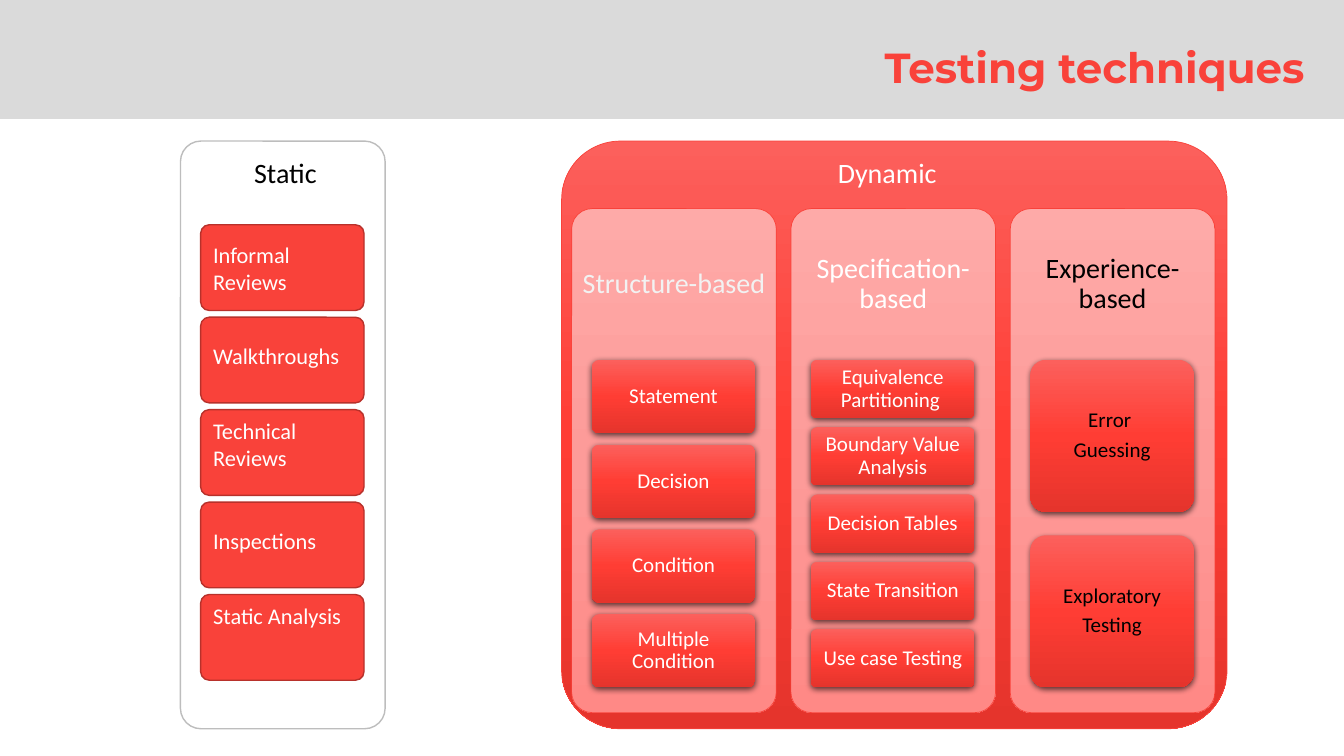
"""Build the slide that sorts testing techniques into static and dynamic."""
from copy import deepcopy
from dataclasses import dataclass

from lxml.etree import SubElement
from pptx import Presentation
from pptx.dml.color import RGBColor
from pptx.enum.shapes import MSO_SHAPE
from pptx.enum.text import MSO_ANCHOR, PP_ALIGN
from pptx.oxml.ns import qn
from pptx.util import Inches, Pt

COLORS = {
    "band": "DADADA", "red": "F9423A", "dark_red": "B8312B", "gray": "BDBDBD",
    "white": "FFFFFF", "pale": "F2F2F2", "black": "000000",
}
GRADIENTS = {
    "strong": ("FC605C", "FF3D34", "E5342C"),
    "light": ("FEAAA8", "FD9B99", "FF8986"),
}
CENTERED = {"alignment": PP_ALIGN.CENTER, "line_spacing": 0.9}
LEFT = {"alignment": PP_ALIGN.LEFT}
RIGHT = {"alignment": PP_ALIGN.RIGHT}
HEADING_INSETS = (0.08, 0.08, 0.08, 0.08)


@dataclass(frozen=True)
class Box:
    left: float
    top: float
    width: float
    height: float

    def lengths(self) -> tuple:
        return tuple(Inches(v) for v in (self.left, self.top, self.width, self.height))


@dataclass(frozen=True)
class Label:
    text: str
    size: float
    color: str
    font: str = "Calibri"
    bold: bool = False
    space_after: float = 0


@dataclass(frozen=True)
class Column:
    title: str
    title_color: str
    card_color: str
    cards: tuple[str, ...]


@dataclass(frozen=True)
class Review:
    text: str
    top_inset: float


COLUMNS = (
    Column("Structure-based", "pale", "white",
           ("Statement", "Decision", "Condition", "Multiple Condition")),
    Column("Specification-based", "white", "white",
           ("Equivalence Partitioning ", "Boundary Value Analysis", "Decision Tables",
            "State Transition", "Use case Testing")),
    Column("Experience-based", "black", "black",
           ("Error \nGuessing", "Exploratory\nTesting")),
)
REVIEWS = (
    Review("Informal Reviews", 0.14),
    Review("Walkthroughs", 0.22),
    Review("Technical Reviews", 0.05),
    Review("Inspections", 0.22),
    Review("Static Analysis", 0.05),
)


def rgb(name: str) -> RGBColor:
    return RGBColor.from_string(COLORS[name])


def write(sp, label: Label, para: dict, insets: tuple, anchor=MSO_ANCHOR.MIDDLE) -> None:
    tf = sp.text_frame
    left, top, right, bottom = (Inches(v) for v in insets)
    frame = {"word_wrap": True, "vertical_anchor": anchor, "margin_left": left,
             "margin_top": top, "margin_right": right, "margin_bottom": bottom}
    for key, value in frame.items():
        setattr(tf, key, value)
    font = {"name": label.font, "size": Pt(label.size), "bold": label.bold}
    for i, line in enumerate(label.text.split("\n")):
        p = tf.add_paragraph() if i else tf.paragraphs[0]
        for key, value in {**para, "space_after": Pt(label.space_after)}.items():
            setattr(p, key, value)
        r = p.add_run()
        r.text = line
        for key, value in font.items():
            setattr(r.font, key, value)
        r.font.color.rgb = rgb(label.color)


def add_text(s, box: Box, label: Label, para: dict, insets=HEADING_INSETS,
             anchor=MSO_ANCHOR.MIDDLE) -> None:
    write(s.shapes.add_textbox(*box.lengths()), label, para, insets, anchor)


def paint_gradient(sp, name: str) -> None:
    sp.fill.gradient()
    sp.fill.gradient_angle = 270
    stops = sp._element.spPr.find(".//" + qn("a:gsLst"))
    stops.append(deepcopy(stops[0]))
    for i, (stop, color) in enumerate(zip(sp.fill.gradient_stops, GRADIENTS[name])):
        stop.position = i / 2
        stop.color.rgb = RGBColor.from_string(color)


def add_shadow(sp) -> None:
    effects = sp._element.spPr.find(qn("a:effectLst"))
    shadow = SubElement(effects, qn("a:outerShdw"), blurRad=str(Pt(4.5)),
                        dist=str(Pt(1.5)), dir="5400000", algn="ctr", rotWithShape="0")
    color = SubElement(shadow, qn("a:srgbClr"), val=COLORS["black"])
    SubElement(color, qn("a:alpha"), val="63000")


def add_panel(s, box: Box, fill: str, line: str = "", width: float = 0.5,
              kind=MSO_SHAPE.ROUNDED_RECTANGLE):
    sp = s.shapes.add_shape(kind, *box.lengths())
    sp.shadow.inherit = False
    if kind == MSO_SHAPE.ROUNDED_RECTANGLE:
        sp.adjustments[0] = 0.1
    if fill in GRADIENTS:
        paint_gradient(sp, fill)
    else:
        sp.fill.solid()
        sp.fill.fore_color.rgb = rgb(fill)
    if line:
        sp.line.color.rgb = rgb(line)
        sp.line.width = Pt(width)
    else:
        sp.line.fill.background()
    return sp


def add_column(s, left: float, column: Column) -> None:
    add_panel(s, Box(left, 2.07, 2.03, 5), "light", "red")
    add_text(s, Box(left, 2.07, 2.03, 1.5),
             Label(column.title, 20, column.title_color, space_after=7), CENTERED)
    n = len(column.cards)
    height = 3.25 / (n + 0.154 * (n - 1))
    for i, text in enumerate(column.cards):
        sp = add_panel(s, Box(left + 0.2, 3.57 + i * height * 1.154, 1.62, height), "strong")
        add_shadow(sp)
        write(sp, Label(text, 15, column.card_color, space_after=5), CENTERED,
              (0.04, 0.03, 0.04, 0.03))


def add_dynamic(s) -> None:
    add_panel(s, Box(5.57, 1.4, 6.6, 5.83), "strong", "red")
    add_text(s, Box(5.5, 1.4, 6.6, 0.66), Label("Dynamic", 20, "white", space_after=7), CENTERED)
    for i, column in enumerate(COLUMNS):
        add_column(s, 5.67 + 2.175 * i, column)


def add_static(s) -> None:
    add_panel(s, Box(1.79, 1.4, 2.03, 5.83), "white", "gray", 1)
    add_text(s, Box(2.12, 1.48, 1.42, 0.5), Label("Static", 20, "black", space_after=7), CENTERED)
    for i, review in enumerate(REVIEWS):
        sp = add_panel(s, Box(1.99, 2.23 + 0.917 * i, 1.62, 0.85), "red", "dark_red", 1)
        write(sp, Label(review.text, 16, "white"), LEFT,
              (0.1, review.top_inset, 0.1, 0.05), MSO_ANCHOR.TOP)


def main() -> None:
    prs = Presentation()
    prs.slide_width, prs.slide_height = Inches(13.33), Inches(7.5)
    s = prs.slides.add_slide(prs.slide_layouts[6])
    add_panel(s, Box(0, 0, 13.33, 1.18), "band", kind=MSO_SHAPE.RECTANGLE)
    add_text(s, Box(1.44, 0.41, 11.5, 0.5),
             Label("Testing techniques", 30, "red", "Montserrat", True), RIGHT,
             (0, 0, 0, 0), MSO_ANCHOR.BOTTOM)
    add_dynamic(s)
    add_static(s)
    prs.save("out.pptx")


if __name__ == "__main__":
    main()
